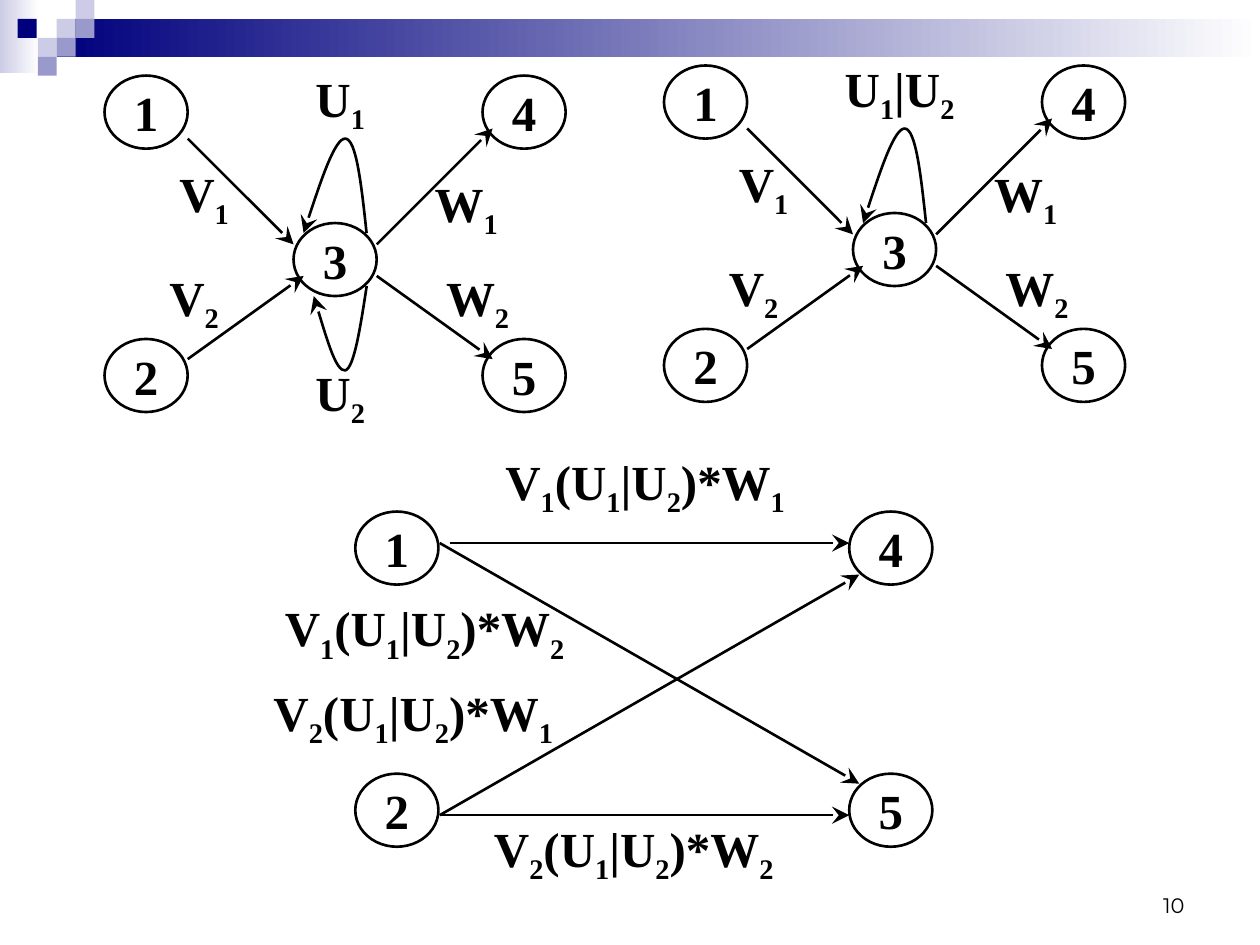
from pptx import Presentation
from pptx.dml.color import RGBColor
from pptx.enum.shapes import MSO_CONNECTOR, MSO_SHAPE
from pptx.enum.text import MSO_ANCHOR, PP_ALIGN
from pptx.oxml.ns import qn
from pptx.util import Inches, Pt
from lxml.etree import SubElement

COLORS = {"ink": "000000", "navy": "00007D", "violet": "9999CC",
          "lavender": "CCCCE6", "white": "FFFFFF"}
NODE_WIDTH, NODE_HEIGHT = 0.66, 0.58


def color(name):
    return RGBColor.from_string(COLORS[name])


def add_text(shape, text, size=28, font="Times New Roman", bold=True,
             align=PP_ALIGN.CENTER, anchor=MSO_ANCHOR.MIDDLE, wrap=False):
    """Write text; a digit that follows a letter becomes a subscript."""
    frame = shape.text_frame
    frame.word_wrap = wrap
    frame.vertical_anchor = anchor
    paragraph = frame.paragraphs[0]
    paragraph.alignment = align
    pieces = []
    for index, character in enumerate(text):
        subscript = character.isdigit() and text[:index][-1:].isalpha()
        if pieces and pieces[-1][1] == subscript:
            pieces[-1][0] += character
        else:
            pieces.append([character, subscript])
    for piece, subscript in pieces:
        run = paragraph.add_run()
        run.text = piece
        run.font.size = Pt(size)
        run.font.name = font
        run.font.bold = bold
        run.font.color.rgb = color("ink")
        if subscript:
            run.font._element.set("baseline", "-25000")


def set_line(shape, arrow=False):
    shape.line.color.rgb = color("ink")
    shape.line.width = Pt(1.5)
    if arrow:
        SubElement(shape.line._get_or_add_ln(), qn("a:tailEnd"),
                   type="stealth", w="lg", len="lg")


def add_block(shapes, left, top, width, height, *fills):
    """Plain rectangle; two fills make a left-to-right gradient."""
    shape = shapes.add_shape(MSO_SHAPE.RECTANGLE, Inches(left), Inches(top),
                             Inches(width), Inches(height))
    shape.shadow.inherit = False
    shape.line.fill.background()
    if len(fills) == 1:
        shape.fill.solid()
        shape.fill.fore_color.rgb = color(fills[0])
        return
    shape.fill.gradient()
    shape.fill.gradient_angle = 0
    for position, (stop, name) in enumerate(zip(shape.fill.gradient_stops, fills)):
        stop.color.rgb = color(name)
        stop.position = position


def add_node(shapes, text, left, top):
    shape = shapes.add_shape(MSO_SHAPE.OVAL, Inches(left), Inches(top),
                             Inches(NODE_WIDTH), Inches(NODE_HEIGHT))
    shape.shadow.inherit = False
    shape.fill.background()
    set_line(shape)
    add_text(shape, text)


def add_label(shapes, text, center, top):
    """Label centred on a given x, wide enough for one line."""
    width = 0.92 if len(text) == 2 else 1.3 if len(text) == 5 else 2.6
    shape = shapes.add_textbox(Inches(center - width / 2), Inches(top),
                               Inches(width), Inches(0.58))
    add_text(shape, text)


def add_arrow(shapes, x1, y1, x2, y2):
    connector = shapes.add_connector(MSO_CONNECTOR.STRAIGHT, Inches(x1), Inches(y1),
                                     Inches(x2), Inches(y2))
    set_line(connector, arrow=True)
    SubElement(connector._element.spPr, qn("a:effectLst"))


def add_loop(shapes, points):
    """Curved arrow: a start point, then three points per Bezier segment."""
    start, *others = [(Inches(x), Inches(y)) for x, y in points]
    builder = shapes.build_freeform(*start)
    builder.add_line_segments(others, close=False)
    shape = builder.convert_to_shape()
    shape.shadow.inherit = False
    shape.fill.background()
    set_line(shape, arrow=True)
    segments = shape._element.xpath(".//a:lnTo")
    outline = segments[0].getparent()
    for index, segment in enumerate(segments):
        if index % 3 == 0:
            curve = SubElement(outline, qn("a:cubicBezTo"))
        curve.append(segment[0])
        outline.remove(segment)


def add_state_graph(shapes, dx, dy, upper_label, lower_label=None):
    """Five-state graph, shifted by dx and dy."""
    group = shapes.add_group_shape().shapes
    for text, left, top in [("1", 0.83, 0.6), ("2", 0.83, 2.69), ("3", 2.33, 1.77),
                            ("5", 3.83, 2.69), ("4", 3.83, 0.6)]:
        add_node(group, text, left + dx, top + dy)
    labels = [(upper_label, 2.7, 0.52), ("V1", 1.62, 1.27), ("V2", 1.54, 2.1),
              ("W2", 3.79, 2.1), ("W1", 3.7, 1.35)]
    loops = [[(2.91, 1.85), (2.87, 1.48), (2.83, 1.1), (2.74, 1.1),
              (2.66, 1.1), (2.53, 1.48), (2.41, 1.85)]]
    if lower_label:
        labels.append((lower_label, 2.7, 2.85))
        loops.append([(2.91, 2.27), (2.86, 2.6), (2.81, 2.92), (2.74, 2.94),
                      (2.67, 2.95), (2.58, 2.65), (2.49, 2.35)])
    for text, center, top in labels:
        add_label(group, text, center + dx, top + dy)
    for x1, y1, x2, y2 in [(1.49, 1.1, 2.33, 1.94), (1.49, 2.85, 2.41, 2.19),
                           (2.99, 1.94, 3.91, 1.02), (2.99, 2.19, 3.91, 2.85)]:
        add_arrow(group, x1 + dx, y1 + dy, x2 + dx, y2 + dy)
    for points in loops:
        add_loop(group, [(x + dx, y + dy) for x, y in points])


def add_reduced_graph(shapes):
    """Graph left after state 3 is removed."""
    for text, left, top in [("1", 2.82, 4.06), ("2", 2.82, 6.14),
                            ("5", 6.74, 6.14), ("4", 6.74, 4.06)]:
        add_node(shapes, text, left, top)
    for source, target, center, top in [(1, 1, 5.12, 3.56), (1, 2, 3.37, 4.72),
                                        (2, 2, 5.03, 6.47), (2, 1, 3.28, 5.39)]:
        add_label(shapes, f"V{source}(U1|U2)*W{target}", center, top)
    for ends in [(3.57, 4.31, 6.74, 4.31), (3.49, 6.47, 6.74, 6.47),
                 (3.49, 6.47, 6.82, 4.56), (3.49, 4.31, 6.82, 6.22)]:
        add_arrow(shapes, *ends)


def add_banner(shapes):
    group = shapes.add_group_shape().shapes
    add_block(group, 0, 0, 0.31, 0.58, "lavender", "white")
    add_block(group, 0.45, 0.15, 9.55, 0.3, "navy", "white")
    for left, top, name in [(0.45, 0.15, "lavender"), (0.6, 0, "lavender"),
                            (0.6, 0.15, "violet"), (0.3, 0.3, "lavender"),
                            (0.14, 0.15, "navy"), (0.45, 0.3, "violet"),
                            (0.3, 0.45, "violet")]:
        add_block(group, left, top, 0.15, 0.15, name)


def main():
    presentation = Presentation()
    presentation.slide_width, presentation.slide_height = Inches(10), Inches(7.5)
    slide = presentation.slides.add_slide(presentation.slide_layouts[6])
    shapes = slide.shapes

    # Banner and page number
    add_banner(shapes)
    number = shapes.add_textbox(Inches(7.17), Inches(6.83), Inches(2.33), Inches(0.5))
    add_text(number, "10", 12, "Montserrat", False, PP_ALIGN.RIGHT,
             MSO_ANCHOR.BOTTOM, True)

    # Graphs: separate loops, merged loop, state 3 removed
    add_state_graph(shapes, 0, 0, "U1", "U2")
    add_reduced_graph(shapes)
    add_state_graph(shapes, 4.44, -0.08, "U1|U2")

    presentation.save("out.pptx")


main()
